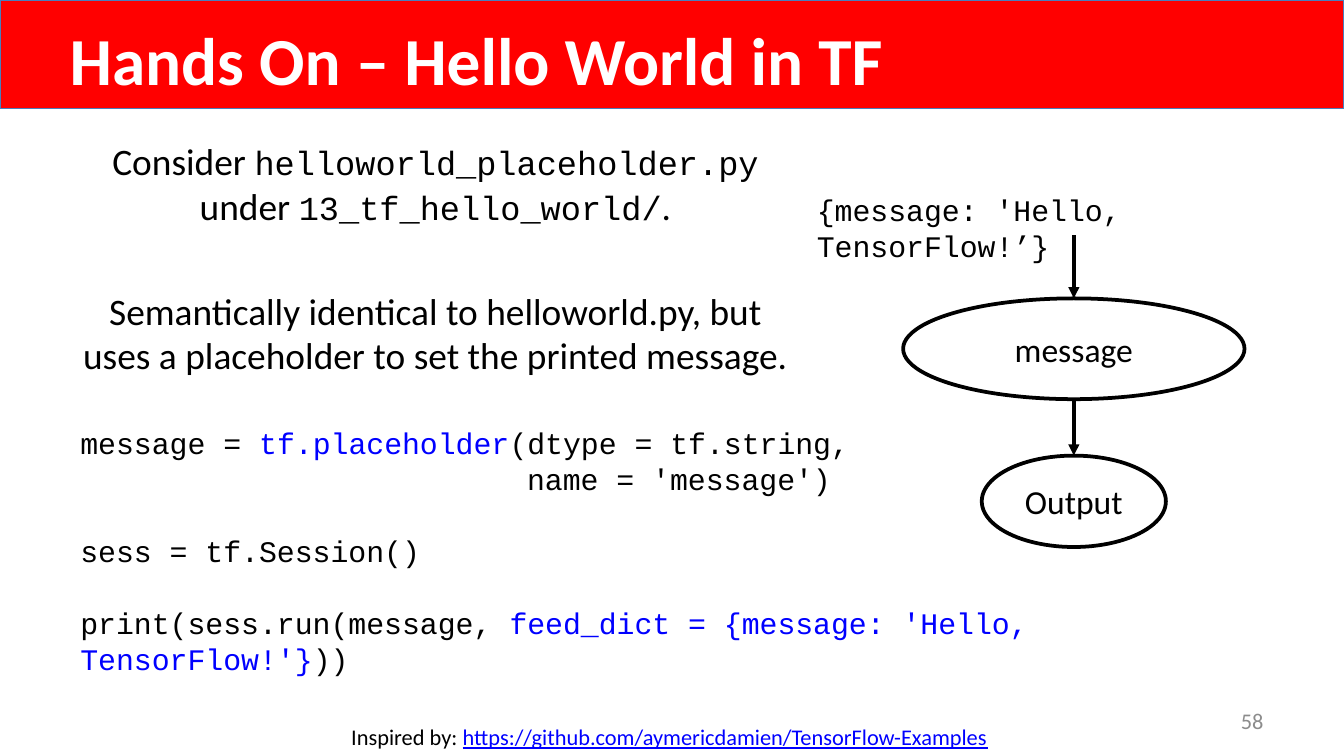
from pptx import Presentation
from pptx.dml.color import RGBColor
from pptx.enum.shapes import MSO_CONNECTOR, MSO_SHAPE
from pptx.enum.text import MSO_ANCHOR, PP_ALIGN
from pptx.oxml.ns import qn
from pptx.util import Inches, Pt
from lxml.etree import SubElement

WIDE = 10
HIGH = WIDE * 9 / 16
RED = RGBColor(0xFF, 0, 0)
EDGE = RGBColor(0x4B, 0x7E, 0xBC)
WHITE = RGBColor(0xFF, 0xFF, 0xFF)
BLACK = RGBColor(0, 0, 0)
BLUE = RGBColor(0, 0, 0xFF)
GRAY = RGBColor(0x8C, 0x8C, 0x8C)

# A style is font, size, colour, bold, underline
TITLE = ("Calibri", 36, WHITE, True, False)
BODY = ("Calibri", 20, BLACK, False, False)
FILE = ("Courier New", 18, BLACK, False, False)
CODE = ("Courier New", 16, BLACK, False, False)
MARK = ("Courier New", 16, BLUE, False, False)
NODE = ("Calibri", 18, BLACK, False, False)
NOTE = ("Calibri", 12, BLACK, False, False)
LINK = ("Calibri", 12, BLUE, False, True)
PAGE = ("Calibri", 12, GRAY, False, False)

LEFT, MID, RIGHT = PP_ALIGN.LEFT, PP_ALIGN.CENTER, PP_ALIGN.RIGHT

# Each paragraph is (space before, runs)
INTRO = [
    (0, [("Consider ", BODY), ("helloworld_placeholder.py", FILE),
         (" under ", BODY), ("13_tf_hello_world/", FILE), (".", BODY)]),
    (32, [("Semantically identical to helloworld.py, but uses a placeholder "
           "to set the printed message.", BODY)]),
]
SCRIPT = [
    (0, [("message = ", CODE), ("tf.placeholder", MARK),
         ("(dtype = tf.string,", CODE)]),
    (0, [("                         name = 'message')", CODE)]),
    (19.5, [("sess = tf.Session()", CODE)]),
    (19.5, [("print(sess.run(message, ", CODE),
            ("feed_dict = {message: 'Hello, TensorFlow!'}", MARK),
            ("))", CODE)]),
]
HEAD = [(0, [("Hands On – Hello World in TF", TITLE)])]
FEED = [(0, [("{message: 'Hello, TensorFlow!’}", CODE)])]
CREDIT = [(0, [("Inspired by: ", NOTE),
               ("https://github.com/aymericdamien/TensorFlow-Examples", LINK),
               (" ", NOTE)])]
NUMBER = [(0, [("58", PAGE)])]

# Left, top, width, height, align, anchor, paragraphs
TOP, CENTER = MSO_ANCHOR.TOP, MSO_ANCHOR.MIDDLE
BOXES = [
    (0.5, 3.11, 8.85, 1.72, LEFT, TOP, SCRIPT),
    (0.42, 0.09, 7.58, 0.71, LEFT, TOP, HEAD),
    (7.17, 5.21, 2.33, 0.3, RIGHT, CENTER, NUMBER),
    (WIDE / 4, 5.33, WIDE / 2, 0.3, MID, TOP, CREDIT),
    (0.5, 0.98, 5.48, 2.08, MID, TOP, INTRO),
    (5.98, 1.38, 4.01, 0.37, LEFT, TOP, FEED),
]

# The graph runs down one axis: label, top, width, height
AXIS, START = 7.99, 1.75
NODES = [("message", 2.22, 2.54, 0.75), ("Output", 3.39, 1.37, 0.68)]


def write(shape, paras, align, anchor):
    frame = shape.text_frame
    frame.word_wrap = True
    frame.vertical_anchor = anchor
    for i, (gap, runs) in enumerate(paras):
        para = frame.add_paragraph() if i else frame.paragraphs[0]
        para.alignment = align
        para.space_before = Pt(gap)
        for text, (name, size, color, bold, under) in runs:
            run = para.add_run()
            run.text = text
            font = run.font
            font.name, font.size = name, Pt(size)
            font.bold, font.underline = bold, under
            font.color.rgb = color


def draw(slide, kind, box, fill, edge, width):
    shape = slide.shapes.add_shape(kind, *map(Inches, box))
    shape.shadow.inherit = False
    if fill is None:
        shape.fill.background()
    else:
        shape.fill.solid()
        shape.fill.fore_color.rgb = fill
    shape.line.color.rgb = edge
    shape.line.width = Pt(width)
    return shape


def arrow(slide, top, end):
    line = slide.shapes.add_connector(
        MSO_CONNECTOR.STRAIGHT, *map(Inches, (AXIS, top, AXIS, end)))
    line.line.color.rgb = BLACK
    line.line.width = Pt(2)
    SubElement(line.line._get_or_add_ln(), qn("a:tailEnd"), type="triangle")
    SubElement(line._element.spPr, qn("a:effectLst"))


def main():
    deck = Presentation()
    deck.slide_width, deck.slide_height = Inches(WIDE), Inches(HIGH)
    slide = deck.slides.add_slide(deck.slide_layouts[6])

    draw(slide, MSO_SHAPE.RECTANGLE, (0, 0, WIDE, 0.81), RED, EDGE, 0.75)
    for *box, align, anchor, paras in BOXES:
        shape = slide.shapes.add_textbox(*map(Inches, box))
        write(shape, paras, align, anchor)

    last = START
    for label, top, wide, high in NODES:
        box = (AXIS - wide / 2, top, wide, high)
        oval = draw(slide, MSO_SHAPE.OVAL, box, None, BLACK, 2)
        write(oval, [(0, [(label, NODE)])], MID, CENTER)
        arrow(slide, last, top)
        last = top + high

    deck.save("out.pptx")


if __name__ == "__main__":
    main()
